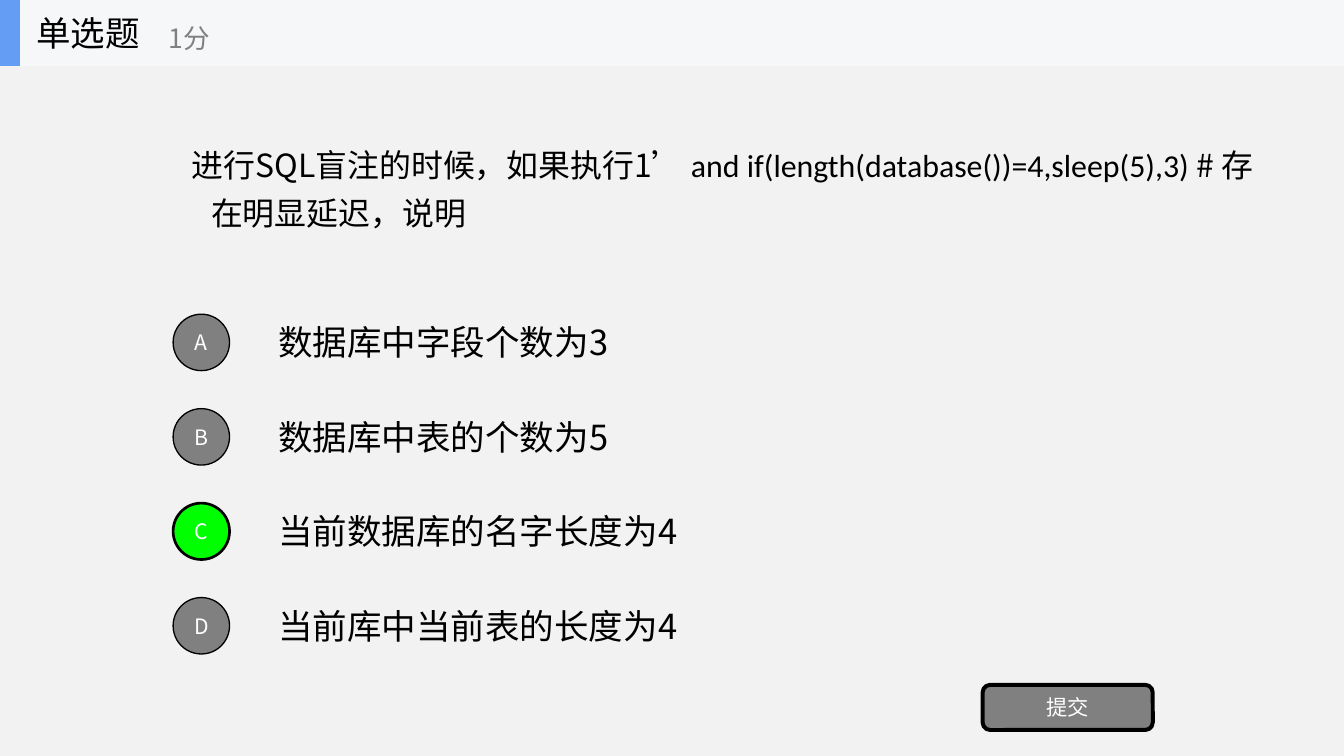
from lxml.etree import SubElement
from pptx import Presentation
from pptx.dml.color import RGBColor
from pptx.enum.shapes import MSO_SHAPE as Preset
from pptx.enum.text import MSO_ANCHOR as Anchor, PP_ALIGN as Align
from pptx.oxml.ns import qn
from pptx.util import Cm, Pt

COLORS = {
    "background": "F2F2F2",
    "header": "F6F7F8",
    "accent": "639EF4",
    "text": "000000",
    "muted": "808080",
    "correct": "00FF00",
    "label": "FFFFFF",
}
CJK = "Noto Sans CJK SC"
LATIN = "Calibri"
QUESTION = [
    ("进行SQL盲注的时候，如果执行", CJK),
    ("1’", CJK),
    (" and if(length(database())=4,sleep(5),3) ", LATIN),
    ("# 存在明显延迟，说明", CJK),
]
OPTIONS = [
    ("A", "数据库中字段个数为3"),
    ("B", "数据库中表的个数为5"),
    ("C", "当前数据库的名字长度为4"),
    ("D", "当前库中当前表的长度为4"),
]
ANSWER = "C"
OPTION_TOP, OPTION_PITCH = 8.15, 2.51


def color(name):
    return RGBColor.from_string(COLORS[name])


def add_run(paragraph, text, size, tint, font_name=CJK):
    run = paragraph.add_run()
    run.text = text
    run.font.size = Pt(size)
    run.font.name = font_name
    run.font.color.rgb = color(tint)
    SubElement(run.font._element, qn("a:ea"), typeface=CJK)


def add_text(shapes, box, runs, size, tint="text"):
    frame = shapes.add_textbox(*map(Cm, box)).text_frame
    frame.word_wrap = True
    frame.vertical_anchor = Anchor.MIDDLE
    paragraph = frame.paragraphs[0]
    for text, font_name in runs:
        add_run(paragraph, text, size, tint, font_name)
    return paragraph


def add_panel(shapes, preset, box, fill, border=0):
    panel = shapes.add_shape(preset, *map(Cm, box))
    panel.shadow.inherit = False
    panel.fill.solid()
    panel.fill.fore_color.rgb = color(fill)
    if border:
        panel.line.color.rgb = color("text")
        panel.line.width = Pt(border)
    else:
        panel.line.fill.background()
    return panel


def add_button(shapes, preset, box, label, fill, border):
    frame = add_panel(shapes, preset, box, fill, border).text_frame
    frame.margin_left = frame.margin_right = 0
    frame.margin_top = frame.margin_bottom = 0
    frame.vertical_anchor = Anchor.MIDDLE
    paragraph = frame.paragraphs[0]
    paragraph.alignment = Align.CENTER
    add_run(paragraph, label, 16, "label")


def add_question(shapes):
    question = add_text(shapes, (3.58, 1.75, 30.23, 6.27), QUESTION, 24)
    question.level = 1
    question.line_spacing = 1.25
    properties = question._p.get_or_add_pPr()
    properties.set("marL", str(Cm(1.78)))
    properties.set("indent", str(Cm(-0.51)))


def add_option(shapes, index, letter, statement):
    top = OPTION_TOP + index * OPTION_PITCH
    fill, border = ("correct", 2) if letter == ANSWER else ("muted", 1)
    add_text(shapes, (7.14, top, 25, 1.88), [(statement, CJK)], 26)
    add_button(shapes, Preset.OVAL, (4.6, top + 0.2, 1.5, 1.5), letter, fill, border)


def add_header(shapes):
    header = shapes.add_group_shape().shapes
    add_panel(header, Preset.RECTANGLE, (0, 0, 35.71, 1.75), "header")
    add_panel(header, Preset.RECTANGLE, (0, 0, 0.53, 1.75), "accent")
    add_text(header, (0.71, 0, 5.28, 1.75), [("单选题", CJK)], 26)
    add_text(header, (4.23, 0.3, 6.35, 1.43), [("1分", CJK)], 20, "muted")


def main():
    deck = Presentation()
    deck.slide_width, deck.slide_height = Cm(35.71), Cm(20.09)
    slide = deck.slides.add_slide(deck.slide_layouts[6])
    slide.background.fill.solid()
    slide.background.fill.fore_color.rgb = color("background")
    add_question(slide.shapes)
    for index, (letter, statement) in enumerate(OPTIONS):
        add_option(slide.shapes, index, letter, statement)
    add_button(slide.shapes, Preset.ROUNDED_RECTANGLE, (26.11, 18.2, 4.52, 1.2), "提交", "muted", 3)
    add_header(slide.shapes)
    deck.save("out.pptx")


if __name__ == "__main__":
    main()
